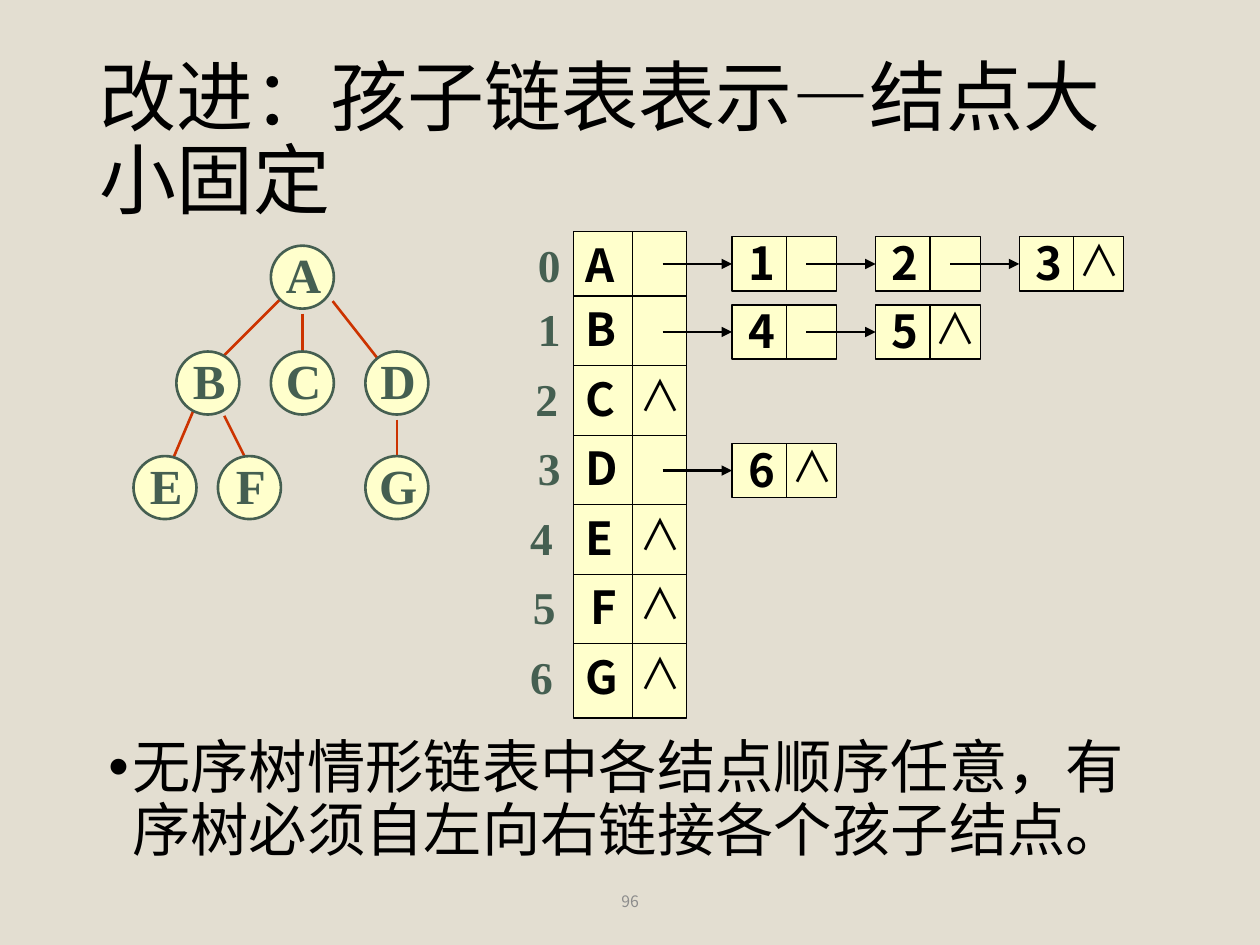
from lxml import etree
from pptx import Presentation
from pptx.dml.color import RGBColor
from pptx.enum.shapes import MSO_CONNECTOR, MSO_SHAPE
from pptx.enum.text import MSO_ANCHOR, MSO_AUTO_SIZE, PP_ALIGN
from pptx.oxml.ns import qn
from pptx.util import Inches, Pt

STRAIGHT = MSO_CONNECTOR.STRAIGHT
RECT, OVAL = MSO_SHAPE.RECTANGLE, MSO_SHAPE.OVAL
TOP, MIDDLE = MSO_ANCHOR.TOP, MSO_ANCHOR.MIDDLE
LEFT, CENTER = PP_ALIGN.LEFT, PP_ALIGN.CENTER
NO_AUTOFIT = MSO_AUTO_SIZE.NONE

BACKGROUND = RGBColor(0xE3, 0xDE, 0xD1)
CREAM = RGBColor(0xFF, 0xFF, 0xCC)
GREEN = RGBColor(0x45, 0x5F, 0x51)
RED = RGBColor(0xCC, 0x33, 0x00)
BLACK = RGBColor(0, 0, 0)
GRAY = RGBColor(0x8C, 0x8C, 0x8C)
SANS = "Noto Sans CJK SC"
SERIF = "Times New Roman"

prs = Presentation()
prs.slide_width, prs.slide_height = Inches(10), Inches(7.5)
s = prs.slides.add_slide(prs.slide_layouts[1])
s.background.fill.solid()
s.background.fill.fore_color.rgb = BACKGROUND


def put_text(text, x, y, w, h, size, font=SANS, color=BLACK, bold=False,
             align=LEFT, anchor=TOP, sp=None):
    """Place formatted text in sp, or in a new text box; return its paragraph."""
    if sp is None:
        sp = s.shapes.add_textbox(0, 0, 0, 0)
    sp.left, sp.top, sp.width, sp.height = map(Inches, (x, y, w, h))
    tf = sp.text_frame
    tf.text = text
    tf.word_wrap = True
    tf.auto_size = NO_AUTOFIT
    tf.vertical_anchor = anchor
    p = tf.paragraphs[0]
    p.alignment = align
    p.font.size, p.font.bold, p.font.name = Pt(size), bold, font
    p.font.color.rgb = color
    ea = etree.SubElement(p._p.pPr.find(qn("a:defRPr")), qn("a:ea"))
    ea.set("typeface", font)
    return p


def draw_line(x1, y1, x2, y2, color=BLACK, width=0.75, arrow=False):
    line = s.shapes.add_connector(STRAIGHT, *map(Inches, (x1, y1, x2, y2)))
    line.line.color.rgb = color
    line.line.width = Pt(width)
    if arrow:
        tail = etree.SubElement(line.line._get_or_add_ln(), qn("a:tailEnd"))
        tail.set("type", "triangle")
    etree.SubElement(line._element.spPr, qn("a:effectLst"))
    return line


# Title, statement and slide number
p = put_text("改进：孩子链表表示—结点大小固定", 0.69, 0.4, 8.62, 1.45, 44,
             anchor=MIDDLE, sp=s.shapes.title)
p.line_spacing = 0.9

body = s.placeholders[1]
bullet = etree.Element(qn("a:buChar"), char="•")
p = put_text("无序树情形链表中各结点顺序任意，有序树必须自左向右链接各个孩子结点。",
             0.76, 5.81, 8.62, 1.13, 33.3, sp=body)
pPr = p._p.pPr
pPr.set("marL", str(Inches(0.19)))
pPr.set("indent", str(Inches(-0.19)))
pPr.find(qn("a:defRPr")).addprevious(bullet)
p.line_spacing = 0.9
p.space_before = Pt(0)

put_text("96", 3.31, 6.95, 3.38, 0.4, 9, color=GRAY, align=CENTER, anchor=MIDDLE)

# Tree
tree_edges = [
    (2.23, 2.37, 1.73, 2.87), (2.4, 2.49, 2.4, 2.87), (2.64, 2.39, 3.15, 3.04),
    (1.56, 3.2, 1.31, 3.79), (1.78, 3.3, 1.98, 3.7), (3.15, 3.33, 3.15, 3.79),
]
for edge in tree_edges:
    draw_line(*edge, color=RED, width=1.5)

tree_nodes = {
    "A": (2.15, 1.95), "B": (1.4, 2.79), "C": (2.15, 2.79), "D": (2.9, 2.79),
    "E": (1.06, 3.62), "F": (1.73, 3.62), "G": (2.9, 3.62),
}

# Boxes of the child lists; the first box is the node array
ARRAY_X, ARRAY_Y, ARRAY_W, ARRAY_H = 4.55, 1.84, 0.9, 3.86
CELL_W, CELL_H, CELL_STEP = 0.83, 0.43, 1.14
LIST_X = 5.81
ROW_TOPS = [ARRAY_Y] + [2.35 + 0.552 * i for i in range(6)]
lists = {0: (1.88, "123"), 1: (2.42, "45"), 3: (3.52, "6")}

cells = [(LIST_X + CELL_STEP * j, y, child, j == len(children) - 1)
         for y, children in lists.values() for j, child in enumerate(children)]
outlines = [(OVAL, x, y, 0.5, 0.5, GREEN, 1.5) for x, y in tree_nodes.values()]
outlines.append((RECT, ARRAY_X, ARRAY_Y, ARRAY_W, ARRAY_H, BLACK, 0.75))
outlines += [(RECT, x, y, CELL_W, CELL_H, BLACK, 0.75) for x, y, *_ in cells]
drawn = []
for kind, x, y, w, h, color, width in outlines:
    sp = s.shapes.add_shape(kind, *map(Inches, (x, y, w, h)))
    sp.shadow.inherit = False
    sp.fill.solid()
    sp.fill.fore_color.rgb = CREAM
    sp.line.color.rgb = color
    sp.line.width = Pt(width)
    drawn.append(sp)

for name, (x, y) in tree_nodes.items():
    put_text(name, x + 0.01, y - 0.06, 0.5, 0.57, 28, SERIF, GREEN, True,
             CENTER, MIDDLE)

# Child list cells, each reached by an arrow
for (x, y, child, last), sp in zip(cells, drawn[-len(cells):]):
    draw_line(x + 0.43, y, x + 0.43, y + CELL_H)
    middle = y + CELL_H / 2
    arrow = draw_line(x - 0.55, middle, x, middle, width=1.5, arrow=True)
    arrow.end_connect(sp, 1)
    put_text(child, x + 0.03, y - 0.06, 0.4, 0.53, 26, bold=True)
    if last:
        put_text("∧", x + 0.37, y - 0.07, 0.53, 0.5, 24)

# Node array: index, name and head pointer of each row
draw_line(5.02, ARRAY_Y, 5.02, ARRAY_Y + ARRAY_H)
index_lefts = [4.17, 4.17, 4.15, 4.17, 4.11, 4.13, 4.11]
for i, (name, top, index_x) in enumerate(zip(tree_nodes, ROW_TOPS, index_lefts)):
    if i:
        draw_line(ARRAY_X, top, ARRAY_X + ARRAY_W, top)
    name_x = 4.59 if name == "F" else ARRAY_X
    put_text(name, name_x, top - 0.01, 0.46, 0.53, 26, bold=True)
    put_text(str(i), index_x, top - 0.01, 0.38, 0.53, 26, SERIF, GREEN, True)
    if i not in lists:
        put_text("∧", 4.98, top - 0.02, 0.53, 0.5, 24)

prs.save("out.pptx")
